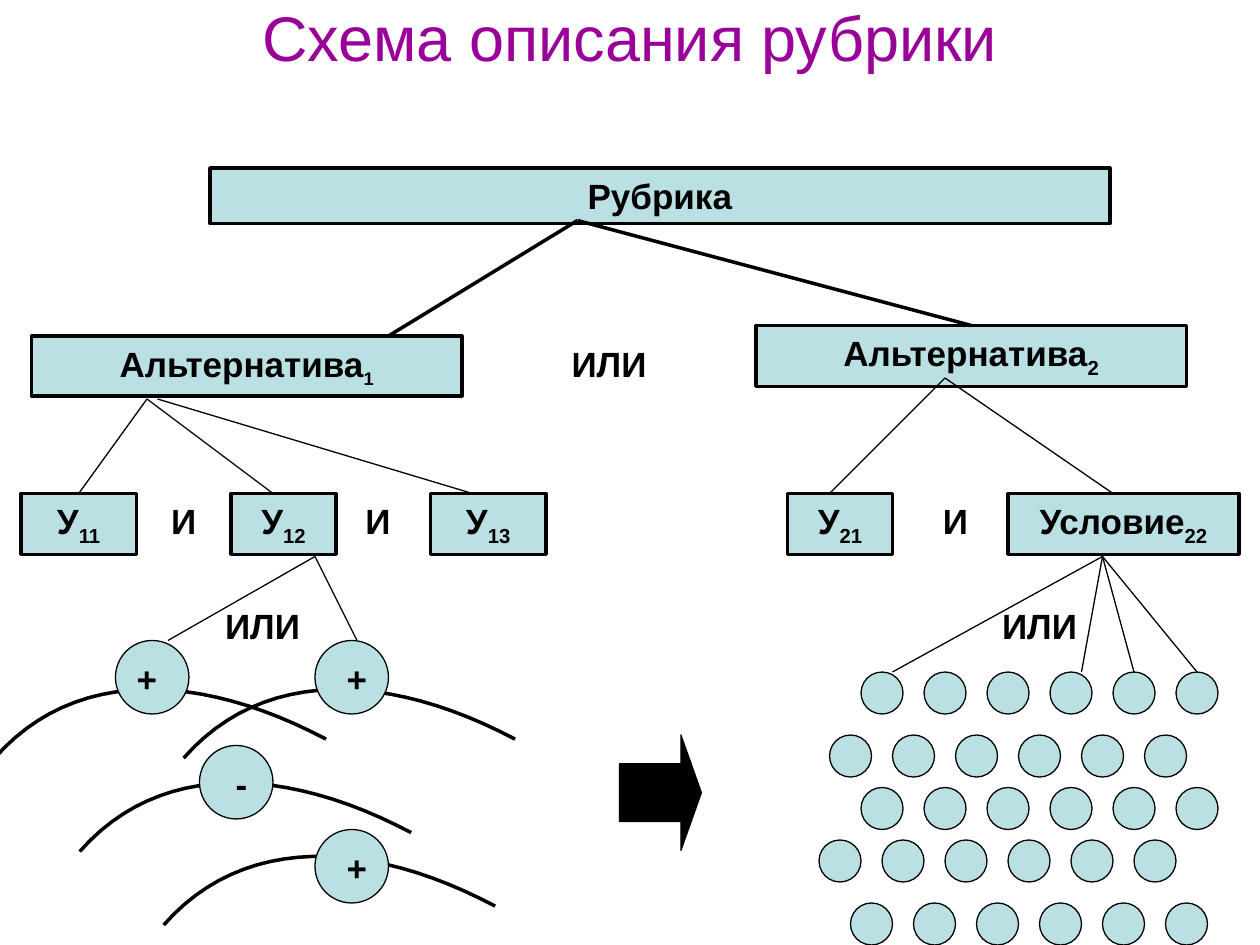
from dataclasses import dataclass

from lxml.etree import SubElement
from pptx import Presentation
from pptx.dml.color import RGBColor
from pptx.enum.shapes import MSO_CONNECTOR as Connector, MSO_SHAPE as Preset
from pptx.enum.text import MSO_ANCHOR as Anchor, MSO_AUTO_SIZE as AutoSize, PP_ALIGN as Align
from pptx.oxml.ns import qn
from pptx.util import Inches, Pt


@dataclass(frozen=True)
class Theme:
    font: str = "Arial"
    title_color: RGBColor = RGBColor(0x99, 0x00, 0x99)
    fill: RGBColor = RGBColor(0xBB, 0xE0, 0xE3)
    ink: RGBColor = RGBColor(0, 0, 0)
    title_size: Pt = Pt(36)
    label_size: Pt = Pt(20)
    thick: Pt = Pt(2)
    thin: Pt = Pt(0.75)


theme = Theme()
presentation = Presentation()
presentation.slide_width = Inches(10)
presentation.slide_height = Inches(7.5)
slide = presentation.slides.add_slide(presentation.slide_layouts[5])
shapes = slide.shapes
cell = presentation.slide_width / 120


def grid(*values):
    return [round(value * cell) for value in values]


def add_node(preset, place, line_width=None, text="", subscript="", subscript_size=None):
    if preset is None:
        shape = shapes.add_textbox(*grid(*place))
    else:
        shape = shapes.add_shape(preset, *grid(*place))
        shape.shadow.inherit = False
        shape.fill.solid()
        shape.fill.fore_color.rgb = theme.fill
        shape.line.color.rgb = theme.ink
        shape.line.width = line_width
    if text:
        frame = shape.text_frame
        frame.word_wrap = True
        frame.vertical_anchor = Anchor.TOP
        paragraph = frame.paragraphs[0]
        paragraph.alignment = Align.CENTER
        paragraph.font.name = theme.font
        paragraph.font.size = theme.label_size
        paragraph.font.bold = True
        paragraph.font.color.rgb = theme.ink
        paragraph.add_run().text = text
        if subscript:
            run = paragraph.add_run()
            run.text = subscript
            run.font.size = subscript_size
            run.font._element.set("baseline", "-25000")
    return shape


def add_line(start, end, width, target=None):
    connector = shapes.add_connector(Connector.STRAIGHT, *grid(*start, *end))
    connector.line.color.rgb = theme.ink
    connector.line.width = width
    SubElement(connector._element.spPr, qn("a:effectLst"))
    if target is not None:
        connector.end_connect(target, 0)


title = shapes.title
title.left, title.top, title.width, title.height = grid(9, 0, 102, 7)
title.text_frame.text = "Схема описания рубрики"
title.text_frame.auto_size = AutoSize.NONE
title.text_frame.vertical_anchor = Anchor.MIDDLE
paragraph = title.text_frame.paragraphs[0]
paragraph.alignment = Align.CENTER
paragraph.font.name = theme.font
paragraph.font.size = theme.title_size
paragraph.font.color.rgb = theme.title_color

arc_controls = [(0, 0), (7.56, -8.64), (19.56, -8.16), (31.56, -1.8)]
arc_steps = 24
arc_points = []
for step in range(arc_steps + 1):
    t = step / arc_steps
    weights = [(1 - t) ** 3, 3 * t * (1 - t) ** 2, 3 * t * t * (1 - t), t ** 3]
    arc_points.append([sum(w * point[axis] for w, point in zip(weights, arc_controls)) for axis in (0, 1)])
for left, top in [(15.6, 88.1), (7.6, 81.1), (-0.5, 72.2), (17.5, 72.2)]:
    points = [grid(left + x, top + y) for x, y in arc_points]
    builder = shapes.build_freeform(*points[0])
    builder.add_line_segments(points[1:], close=False)
    arc = builder.convert_to_shape()
    arc.shadow.inherit = False
    arc.fill.background()
    arc.line.color.rgb = theme.ink
    arc.line.width = theme.thick

boxes = {}
for place, text, subscript, subscript_size in [
    ((20, 16, 85.7, 5.3), "Рубрика", "", None),
    ((3, 32, 41, 5.7), "Альтернатива", "1", Pt(18)),
    ((72, 31, 41, 5.8), "Альтернатива", "2", None),
    ((2, 47, 11, 5.8), "У", "11", None),
    ((22, 47, 10, 5.8), "У", "12", None),
    ((41, 47, 11, 5.8), "У", "13", None),
    ((75, 47, 10, 5.8), "У", "21", None),
    ((96, 47, 22, 5.8), "Условие", "22", None),
]:
    boxes[text + subscript] = add_node(Preset.RECTANGLE, place, theme.thick, text, subscript, subscript_size)

add_line((55, 21), (93, 31), theme.thick, boxes["Альтернатива2"])
add_line((55, 21), (37, 32), theme.thick)
add_line((14, 38), (7, 47), theme.thin, boxes["У11"])
for start, ends in [
    ((14, 38), [(26, 47)]),
    ((15, 38), [(45, 47)]),
    ((90, 36), [(79, 47), (106, 47)]),
    ((30, 53), [(16, 61), (34, 61)]),
    ((105, 53), [(85, 64), (103, 64), (108, 64), (114, 64)]),
]:
    for end in ends:
        add_line(start, end, theme.thin)

for left, top in [(11, 61), (30, 61), (19, 71), (30, 79)]:
    add_node(Preset.OVAL, (left, top, 7, 7), theme.thin)

for left, top, width, text in [
    (53, 32, 10, "ИЛИ"), (20, 57, 10, "ИЛИ"), (94, 57, 10, "ИЛИ"),
    (15, 47, 5, "И"), (33, 47, 6, "И"), (88, 47, 6, "И"),
    (11, 62, 6, "+"), (31, 62, 6, "+"), (20, 72, 6, "-"), (31, 80, 6, "+"),
]:
    add_node(None, (left, top, width, 5.3), text=text)

for left, top in [(82, 64), (79, 70), (82, 75), (78, 80), (81, 86)]:
    for column in range(6):
        add_node(Preset.OVAL, (left + 6 * column, top, 4, 4), theme.thin)

arrow = add_node(Preset.RIGHT_ARROW, (59, 70, 7.8, 11), theme.thin)
arrow.fill.fore_color.rgb = theme.ink
arrow.adjustments[0] = 0.5
arrow.adjustments[1] = 0.25

presentation.save("out.pptx")
